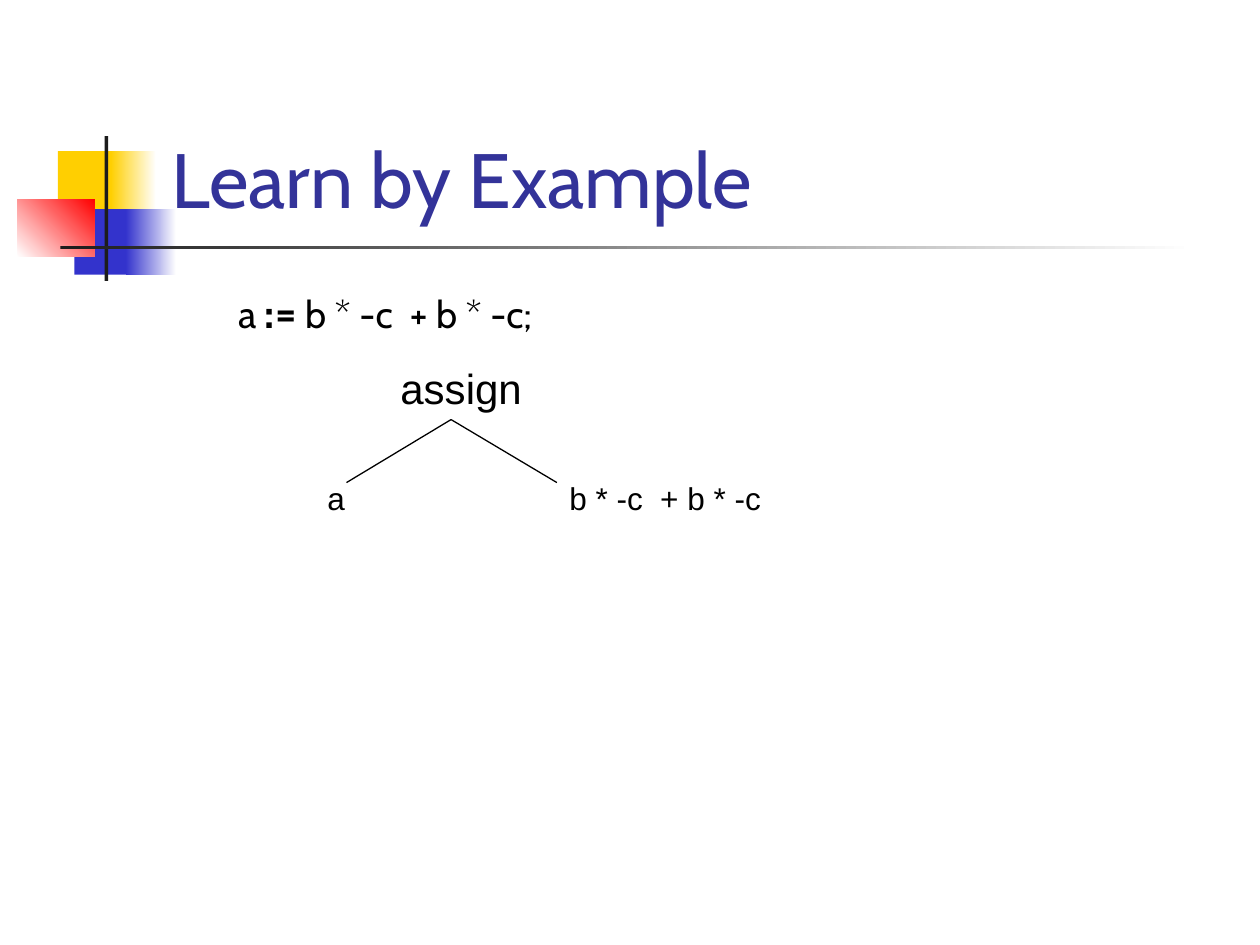
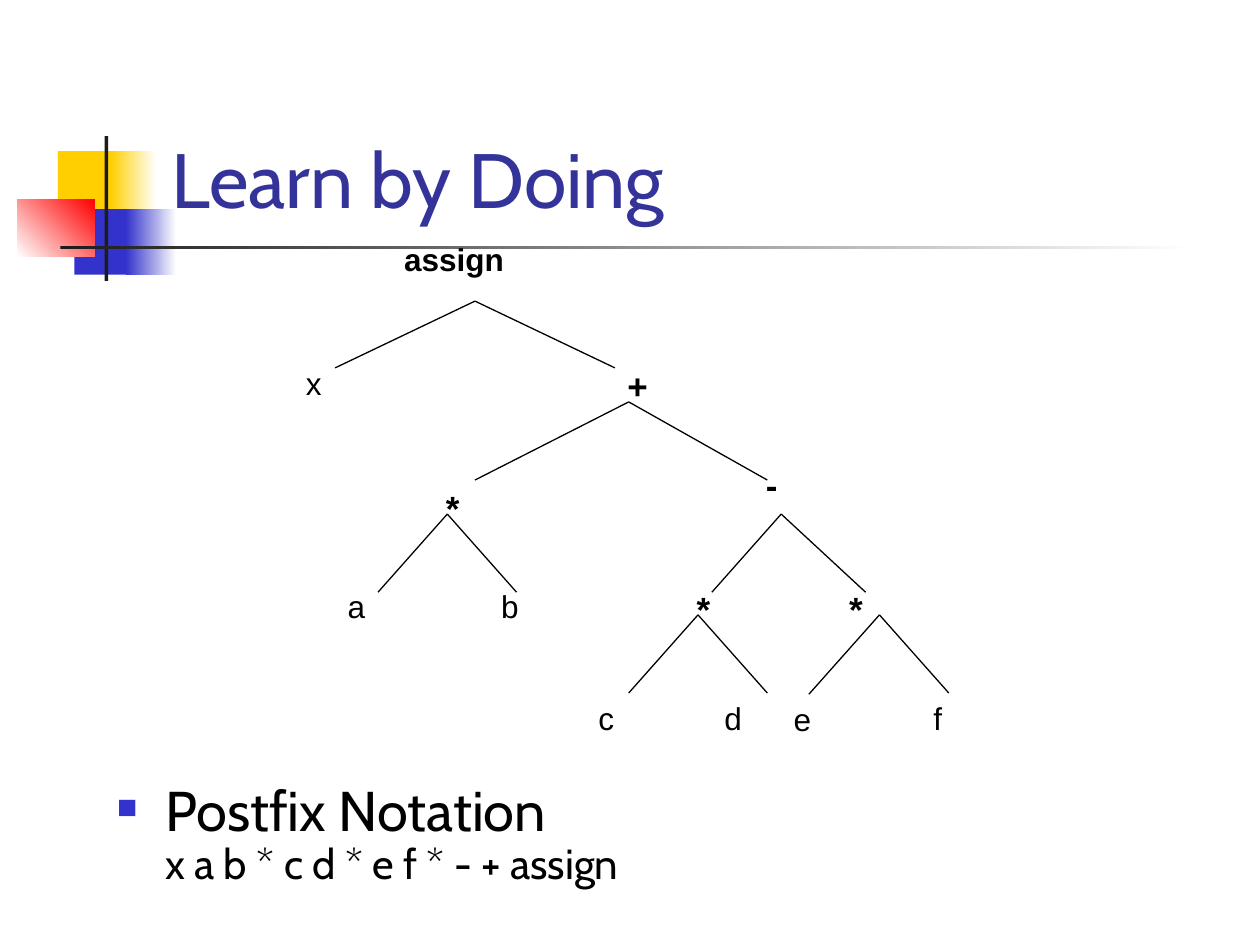
"""Two slides of syntax trees: a worked example and an exercise in postfix notation."""
from dataclasses import dataclass
from typing import Optional, Union

import pptx
import pptx.dml.color
import pptx.enum.shapes
import pptx.enum.text
import pptx.oxml
import pptx.oxml.ns
import pptx.util
from pptx.util import Inches

RGBColor = pptx.dml.color.RGBColor
BLACK = RGBColor(0x00, 0x00, 0x00)
WHITE = RGBColor(0xFF, 0xFF, 0xFF)
YELLOW = RGBColor(0xFF, 0xCF, 0x01)
BLUE = RGBColor(0x33, 0x33, 0xCC)
RED = RGBColor(0xFF, 0x00, 0x00)
CHARCOAL = RGBColor(0x1C, 0x1C, 0x1C)
TITLE_BLUE = RGBColor(0x33, 0x33, 0x99)
HEAD_FONT, LABEL_FONT = "Cabin", "Arial"
LABEL_HEIGHTS = {18: 0.4, 20: 0.44, 24: 0.5}


@dataclass(frozen=True)
class Band:
    left: float
    top: float
    width: float
    height: float
    color: RGBColor
    fade_to: Optional[RGBColor] = None
    angle: int = 0


@dataclass(frozen=True)
class Node:
    text: str
    left: float
    top: float
    width: float
    size: int = 18
    bold: bool = False


Point = tuple[float, float]


@dataclass(frozen=True)
class Branch:
    """Two lines from an apex, each to a point or to the top of a named node."""
    apex: Point
    ends: tuple[Union[Point, str], Union[Point, str]]


BANDS = [
    Band(0.46, 1.2, 0.48, 0.52, YELLOW),
    Band(0.88, 1.2, 0.36, 0.52, YELLOW, WHITE),
    Band(0.59, 1.66, 0.46, 0.52, BLUE),
    Band(1, 1.66, 0.4, 0.52, BLUE, WHITE),
    Band(0.14, 1.58, 0.61, 0.46, WHITE, RED, 45),
    Band(0.83, 1.08, 0.03, 1.15, CHARCOAL),
    Band(0.48, 1.95, 9, 0.03, CHARCOAL, WHITE),
]

EXAMPLE_NODES = {
    "a": Node("a", 2.5, 3.75, 0.33),
    "assign": Node("assign", 3.08, 2.83, 1.33, 24),
    "value": Node("b * -c  + b * -c", 4.42, 3.75, 2.08),
}
EXAMPLE_BRANCHES = [Branch((3.58, 3.33), ((2.75, 3.83), (4.42, 3.83)))]

EXERCISE_NODES = {
    "assign": Node("assign", 3.11, 1.86, 1.44, bold=True),
    "x": Node("x", 2.33, 2.84, 0.44),
    "plus": Node("+", 4.88, 2.84, 0.55, 20, True),
    "times ab": Node("*", 3.44, 3.81, 0.66, 20, True),
    "minus": Node("-", 5.98, 3.63, 1.1, 20, True),
    "a": Node("a", 2.66, 4.61, 0.55),
    "b": Node("b", 3.88, 4.61, 0.44),
    "times cd": Node("*", 5.43, 4.61, 0.55, 20, True),
    "times ef": Node("*", 6.64, 4.61, 0.44, 20, True),
    "c": Node("c", 4.65, 5.5, 0.44),
    "d": Node("d", 5.65, 5.5, 0.44),
    "e": Node("e", 6.2, 5.51, 0.44),
    "f": Node("f", 7.31, 5.5, 0.44),
}
EXERCISE_BRANCHES = [
    Branch((3.77, 2.39), ((2.66, 2.92), (4.88, 2.92))),
    Branch((4.99, 3.19), ("times ab", (6.09, 3.81))),
    Branch((3.55, 4.08), ((3, 4.7), (4.1, 4.7))),
    Branch((6.2, 4.08), ((5.65, 4.7), (6.87, 4.7))),
    Branch((5.54, 4.88), ((4.99, 5.5), (6.09, 5.5))),
    Branch((6.98, 4.88), ("e", "f")),
]


def write(p, text: str, *, size: float, font: str = HEAD_FONT,
          color: RGBColor = BLACK, bold: bool = False) -> None:
    r = p.add_run()
    r.text = text
    r.font.size = pptx.util.Pt(size)
    r.font.name = font
    r.font.color.rgb = color
    r.font.bold = bold


def add_xml(parent, tag: str, **attributes: str):
    element = pptx.oxml.parse_xml(f"<{tag} {pptx.oxml.ns.nsdecls('a')}/>")
    for name, value in attributes.items():
        element.set(name, value)
    parent.append(element)
    return element


def set_paragraph(p, *, margin: float, indent: float, bullet: str = "",
                  before: float = 0, spacing: float = 1) -> None:
    pPr = p._p.get_or_add_pPr()
    pPr.set("marL", str(Inches(margin)))
    pPr.set("indent", str(Inches(indent)))
    if bullet:
        add_xml(add_xml(pPr, "a:buClr"), "a:srgbClr", val=str(BLUE))
        add_xml(pPr, "a:buSzPct", val="60000")
        add_xml(pPr, "a:buFont", typeface=LABEL_FONT)
        add_xml(pPr, "a:buChar", char=bullet)
    else:
        add_xml(pPr, "a:buNone")
    p.space_before = pptx.util.Pt(before)
    p.line_spacing = spacing


def place(sp, left: float, top: float, width: float, height: float) -> None:
    sp.left, sp.top, sp.width, sp.height = map(Inches, (left, top, width, height))


def add_bands(layout, slide) -> None:
    """Draw the bands and move them to the back of the layout."""
    for i, band in enumerate(BANDS):
        sp = slide.shapes.add_shape(
            pptx.enum.shapes.MSO_SHAPE.RECTANGLE,
            *map(Inches, (band.left, band.top, band.width, band.height)))
        sp.shadow.inherit = False
        sp.line.fill.background()
        if band.fade_to is None:
            sp.fill.solid()
            sp.fill.fore_color.rgb = band.color
        else:
            sp.fill.gradient()
            sp.fill.gradient_angle = band.angle
            for stop, color in zip(sp.fill.gradient_stops, (band.color, band.fade_to)):
                stop.color.rgb = color
        layout.shapes.element.insert(2 + i, sp.element)


def add_slide(prs, layout, title: str, body: tuple[float, float, float, float]):
    """Add a slide with its title and return it with the body's text frame."""
    slide = prs.slides.add_slide(layout)
    sp = slide.shapes.title
    place(sp, 1.26, 0.23, 8.52, 1.6)
    tf = sp.text_frame
    tf.vertical_anchor = pptx.enum.text.MSO_ANCHOR.BOTTOM
    tf.auto_size = pptx.enum.text.MSO_AUTO_SIZE.NONE
    tf.paragraphs[0].alignment = pptx.enum.text.PP_ALIGN.LEFT
    write(tf.paragraphs[0], title, size=44, color=TITLE_BLUE)
    sp = slide.placeholders[1]
    place(sp, *body)
    sp.text_frame.auto_size = pptx.enum.text.MSO_AUTO_SIZE.NONE
    return slide, sp.text_frame


def add_node(shapes, node: Node):
    sp = shapes.add_textbox(*map(Inches, (node.left, node.top, node.width,
                                          LABEL_HEIGHTS[node.size])))
    tf = sp.text_frame
    tf.word_wrap = True
    tf.auto_size = pptx.enum.text.MSO_AUTO_SIZE.SHAPE_TO_FIT_TEXT
    write(tf.paragraphs[0], node.text, size=node.size, font=LABEL_FONT, bold=node.bold)
    return sp


def add_tree(slide, nodes: dict[str, Node], branches: list[Branch]) -> None:
    shapes = slide.shapes.add_group_shape().shapes
    boxes = {name: add_node(shapes, node) for name, node in nodes.items()}
    for branch in branches:
        for end in branch.ends:
            joined = isinstance(end, str)
            if joined:
                node = nodes[end]
                point = (node.left + node.width / 2, node.top)
            else:
                point = end
            line = shapes.add_connector(pptx.enum.shapes.MSO_CONNECTOR.STRAIGHT,
                                        *map(Inches, branch.apex + point))
            if joined:
                line.end_connect(boxes[end], 0)
            line.line.color.rgb = BLACK
            line.line.width = pptx.util.Pt(0.75)
            add_xml(line.element.spPr, "a:effectLst")


def main() -> None:
    prs = pptx.Presentation()
    prs.slide_width, prs.slide_height = Inches(10), Inches(7.5)
    layout = prs.slide_layouts[1]

    slide, tf = add_slide(prs, layout, "Learn by Example", (1.29, 2.21, 8.42, 0.53))
    add_bands(layout, slide)
    p = tf.paragraphs[0]
    p.level = 1
    set_paragraph(p, margin=0.81, indent=-0.31)
    write(p, "a ", size=21.7)
    write(p, ":=", size=24.8, bold=True)
    write(p, " b * -c  + b * -c;", size=21.7)
    add_tree(slide, EXAMPLE_NODES, EXAMPLE_BRANCHES)

    slide, tf = add_slide(prs, layout, "Learn by Doing", (0.83, 6.25, 8.5, 0.87))
    p = tf.paragraphs[0]
    set_paragraph(p, margin=0.38, indent=-0.38, bullet="■", spacing=0.7)
    write(p, "Postfix Notation", size=32)
    p = tf.add_paragraph()
    set_paragraph(p, margin=0.38, indent=0, before=6, spacing=0.7)
    write(p, "x a b * c d * e f * - + assign", size=24)
    add_tree(slide, EXERCISE_NODES, EXERCISE_BRANCHES)

    prs.save("out.pptx")


if __name__ == "__main__":
    main()
